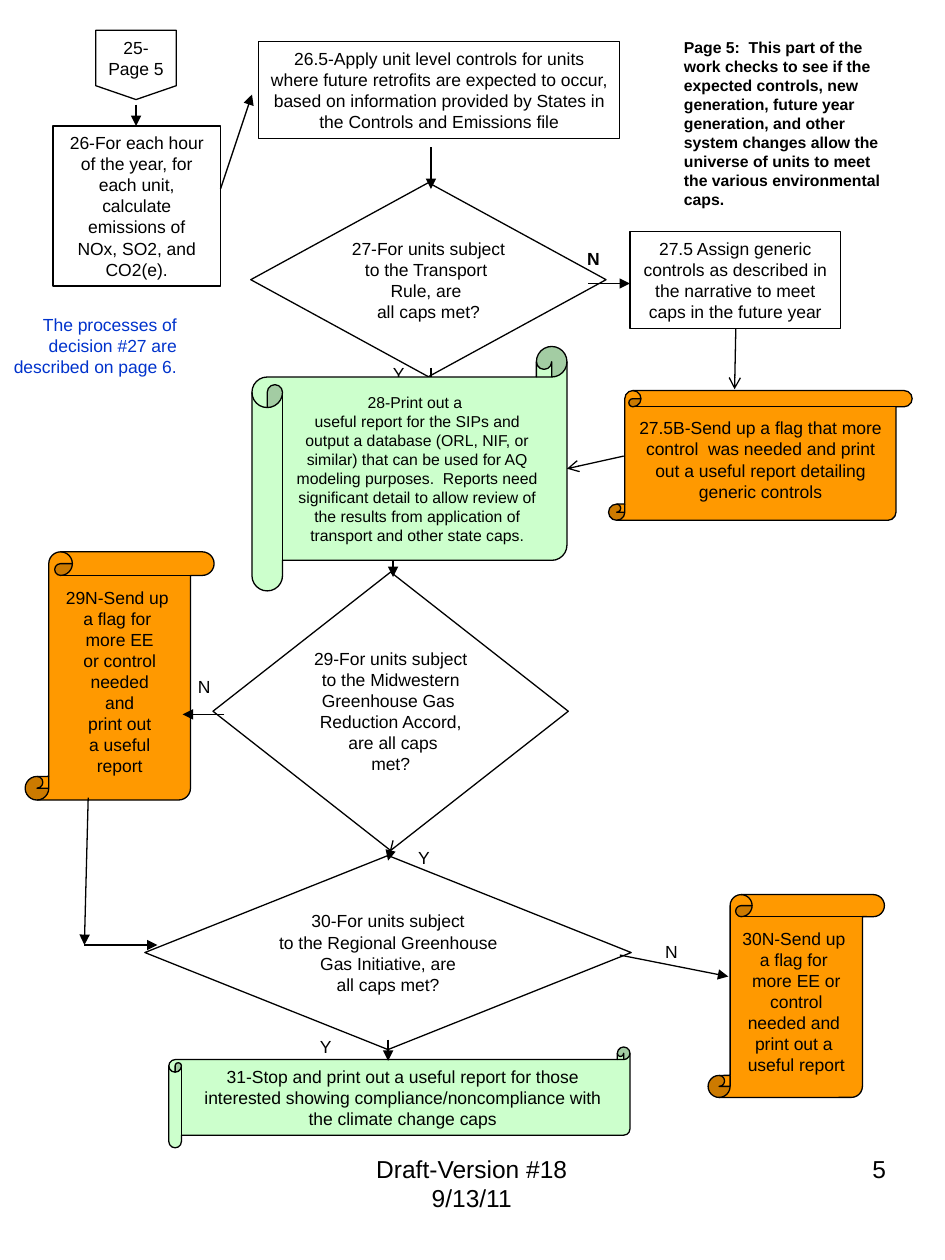
import dataclasses

import pptx
import pptx.dml.color
import pptx.enum.shapes
import pptx.enum.text
import pptx.util
from lxml import etree
from pptx.oxml.ns import qn

Inches = pptx.util.Inches
Pt = pptx.util.Pt
SHAPE = pptx.enum.shapes.MSO_SHAPE
ALIGN = pptx.enum.text.PP_ALIGN
ANCHOR = pptx.enum.text.MSO_ANCHOR

BLACK = pptx.dml.color.RGBColor(0x00, 0x00, 0x00)
BLUE = pptx.dml.color.RGBColor(0x00, 0x33, 0xCC)
ORANGE = pptx.dml.color.RGBColor(0xFF, 0x99, 0x00)
GREEN = pptx.dml.color.RGBColor(0xCC, 0xFF, 0xCC)
FONT = "Arial"
LINE_WIDTH = Pt(0.75)
LABEL_HEIGHT = 0.27


def write_text(shape, lines, size=10, color=BLACK, bold=False,
               align=ALIGN.CENTER, anchor=ANCHOR.MIDDLE, wrap=True):
    frame = shape.text_frame
    frame.word_wrap = wrap
    frame.vertical_anchor = anchor
    for index, line in enumerate(lines):
        para = frame.add_paragraph() if index else frame.paragraphs[0]
        para.alignment = align
        span = para.add_run()
        span.text = line
        span.font.name = FONT
        span.font.size = Pt(size)
        span.font.bold = bold
        span.font.color.rgb = color


@dataclasses.dataclass
class Region:
    """Part of the page; boxes and points are in inches from its corner."""
    page: object
    left: float
    top: float

    def place(self, x, y):
        return Inches(self.left + x), Inches(self.top + y)

    def add_step(self, preset, box, lines, fill=None, **style):
        x, y, width, height = box
        shape = self.page.shapes.add_shape(
            preset, *self.place(x, y), Inches(width), Inches(height))
        shape.shadow.inherit = False
        if fill is None:
            shape.fill.background()
        else:
            shape.fill.solid()
            shape.fill.fore_color.rgb = fill
        shape.line.color.rgb = BLACK
        shape.line.width = LINE_WIDTH
        write_text(shape, lines, **style)

    def add_note(self, box, text, anchor=ANCHOR.TOP, **style):
        x, y, width, height = box
        note = self.page.shapes.add_textbox(
            *self.place(x, y), Inches(width), Inches(height))
        write_text(note, [text], anchor=anchor, **style)

    def add_label(self, x, y, width, text, **style):
        self.add_note((x, y, width, LABEL_HEIGHT), text, **style)

    def add_arrow(self, start, end, head="triangle"):
        arrow = self.page.shapes.add_connector(
            pptx.enum.shapes.MSO_CONNECTOR.STRAIGHT,
            *self.place(*start), *self.place(*end))
        arrow.line.color.rgb = BLACK
        arrow.line.width = LINE_WIDTH
        etree.SubElement(arrow.line._get_or_add_ln(), qn("a:tailEnd"), type=head)
        etree.SubElement(arrow._element.spPr, qn("a:effectLst"))


def draw_footer(area):
    area.add_note((0, 0, 2.37, 0.69), "Draft-Version #18 9/13/11", size=14)
    area.add_note((2.82, 0, 1.75, 0.69), "5", size=14, align=ALIGN.RIGHT)


def draw_emissions(area):
    # Page note
    area.add_note(
        (4.91, 0.01, 1.83, 1.46),
        "Page 5:  This part of the work checks to see if the expected controls, "
        "new generation, future year generation, and other system changes allow "
        "the universe of units to meet the various environmental caps.",
        size=9, bold=True, align=ALIGN.LEFT)
    # Steps 25 to 26.5
    area.add_step(SHAPE.FLOWCHART_OFFPAGE_CONNECTOR, (0.34, 0, 0.64, 0.55),
                  ["25-", "Page 5"], wrap=False)
    area.add_step(SHAPE.FLOWCHART_PROCESS, (0, 0.76, 1.33, 1.27),
                  ["26-For each hour", "of the year, for each unit,",
                   "calculate emissions of", "NOx, SO2, and CO2(e)."])
    area.add_step(SHAPE.RECTANGLE, (1.63, 0.09, 2.87, 0.77),
                  ["26.5-Apply unit level controls for units",
                   "where future retrofits are expected to occur, based on information "
                   "provided by States in the Controls and Emissions file"])
    area.add_arrow((0.66, 0.59), (0.66, 0.76))
    area.add_arrow((1.33, 1.26), (1.58, 0.51))


def draw_transport_rule(area):
    # Decision and its side note
    area.add_step(SHAPE.FLOWCHART_DECISION, (-0.01, 0.28, 2.82, 1.54),
                  ["27-For units subject", "to the Transport ", "Rule, are ",
                   "all caps met?"], wrap=False)
    area.add_note((-2, 1.16, 1.5, 0.83),
                  "The processes of decision #27 are described on page 6.",
                  color=BLUE, align=ALIGN.RIGHT, anchor=ANCHOR.MIDDLE)
    # Generic controls
    area.add_step(SHAPE.RECTANGLE, (3, 0.67, 1.67, 0.77),
                  ["27.5 Assign generic controls as described in the narrative "
                   "to meet caps in the future year"])
    area.add_step(SHAPE.VERTICAL_SCROLL, (2.83, 1.93, 2.41, 1.03),
                  ["27.5B-Send up a flag that more control  was needed and print "
                   "out a useful report detailing generic controls"], ORANGE)
    # Flow
    area.add_arrow((1.42, 0), (1.42, 0.33))
    area.add_arrow((1.42, 1.75), (1.42, 1.91))
    area.add_arrow((2.67, 1.08), (3, 1.08))
    area.add_label(2.5, 0.75, 0.42, "N", bold=True)
    area.add_label(1, 1.66, 0.33, "Y")
    # Report, in front of the flow
    area.add_step(SHAPE.HORIZONTAL_SCROLL, (0, 1.58, 2.5, 1.94),
                  ["28-Print out a ",
                   "useful report for the SIPs and output a database (ORL, NIF, or "
                   "similar) that can be used for AQ modeling purposes.  Reports need "
                   "significant detail to allow review of the results from application "
                   "of transport and other state caps."], GREEN, size=9)
    area.add_arrow((3.84, 1.44), (3.83, 1.92), "arrow")
    area.add_arrow((2.95, 2.45), (2.5, 2.55), "arrow")


def draw_accord(area):
    area.add_step(SHAPE.FLOWCHART_DECISION, (1.49, 0.29, 2.82, 2.21),
                  ["29-For units subject", "to the Midwestern", "Greenhouse Gas ",
                   "Reduction Accord,", " are all caps", "met?"], wrap=False)
    area.add_step(SHAPE.VERTICAL_SCROLL, (0, 0.13, 1.5, 1.97),
                  ["29N-Send up ", "a flag for ", "more EE", " or control ", "needed",
                   " and ", "print out", " a useful ", "report"], ORANGE)
    # Flow
    area.add_arrow((2.92, 0), (2.92, 0.33))
    area.add_arrow((1.58, 1.42), (1.25, 1.42))
    area.add_arrow((2.92, 2.42), (2.88, 2.58))
    area.add_arrow((0.5, 2.08), (0.47, 3.25))
    area.add_arrow((0.47, 3.25), (1.05, 3.25))
    area.add_label(1.17, 1.07, 0.5, "N")
    area.add_label(3, 2.42, 0.33, "Y")


def draw_initiative(area):
    area.add_step(SHAPE.FLOWCHART_DECISION, (0, 0, 3.86, 1.54),
                  ["30-For units subject", "to the Regional Greenhouse",
                   "Gas Initiative, are", "all caps met?"], wrap=False)
    area.add_step(SHAPE.VERTICAL_SCROLL, (4.47, 0.31, 1.4, 1.61),
                  ["30N-Send up ", "a flag for ", "more EE or", "control",
                   "needed and ", "print out a ", "useful report"], ORANGE, wrap=False)
    area.add_step(SHAPE.HORIZONTAL_SCROLL, (0.19, 1.52, 3.66, 0.8),
                  ["31-Stop and print out a useful report for those interested showing "
                   "compliance/noncompliance with the climate change caps"], GREEN)
    # Flow
    area.add_arrow((3.77, 0.79), (4.63, 0.96))
    area.add_arrow((1.93, 1.46), (1.93, 1.63))
    area.add_label(3.93, 0.63, 0.5, "N")
    area.add_label(1.27, 1.38, 0.33, "Y")


def main():
    deck = pptx.Presentation()
    deck.slide_width = Inches(7.5)
    deck.slide_height = Inches(10)
    page = deck.slides.add_slide(deck.slide_layouts[6])
    draw_footer(Region(page, 2.56, 9.11))
    draw_emissions(Region(page, 0.42, 0.24))
    # The report scroll of the transport rule covers the top arrow of the accord
    draw_accord(Region(page, 0.2, 4.25))
    draw_initiative(Region(page, 1.15, 6.79))
    draw_transport_rule(Region(page, 2, 1.17))
    deck.save("out.pptx")


if __name__ == "__main__":
    main()
